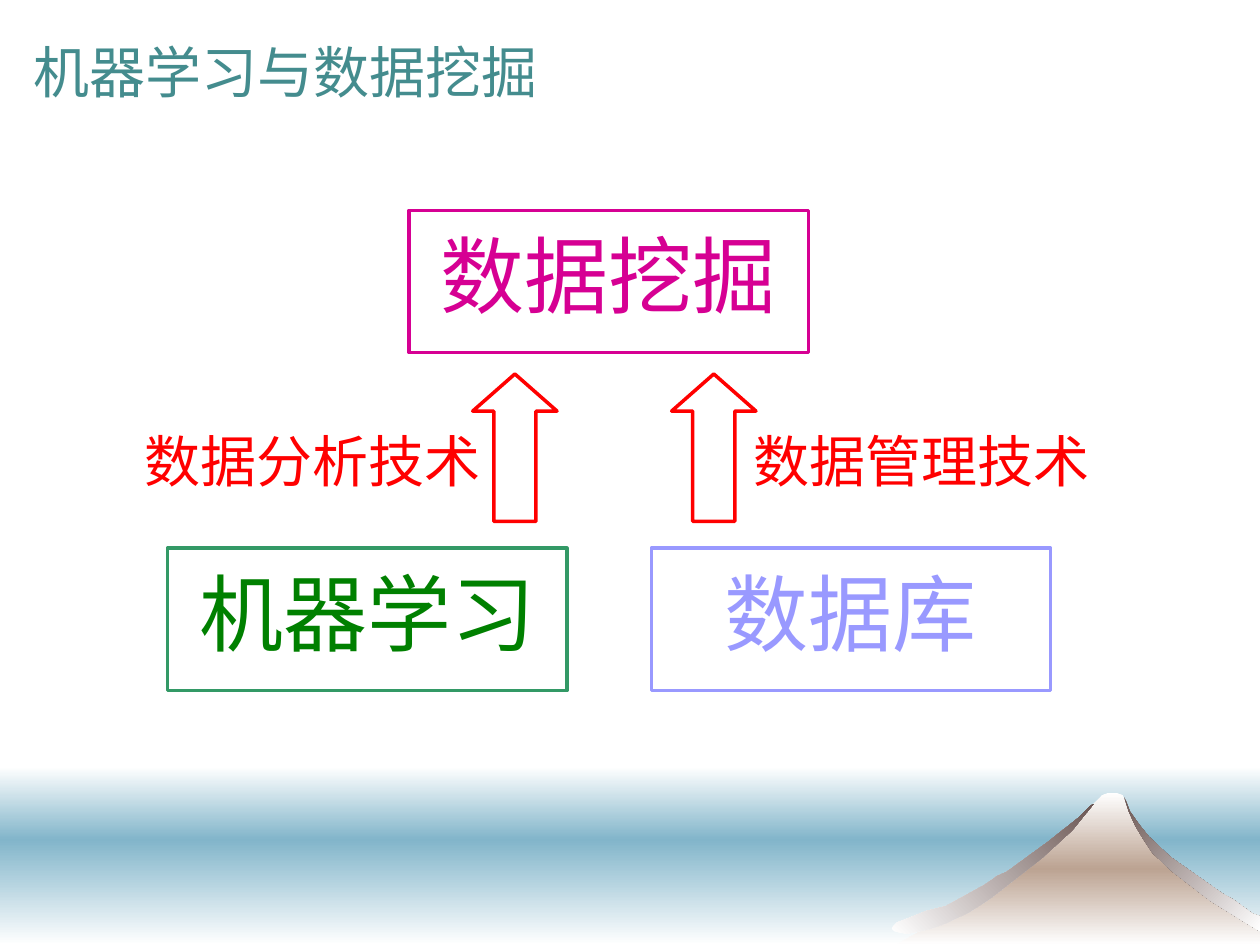
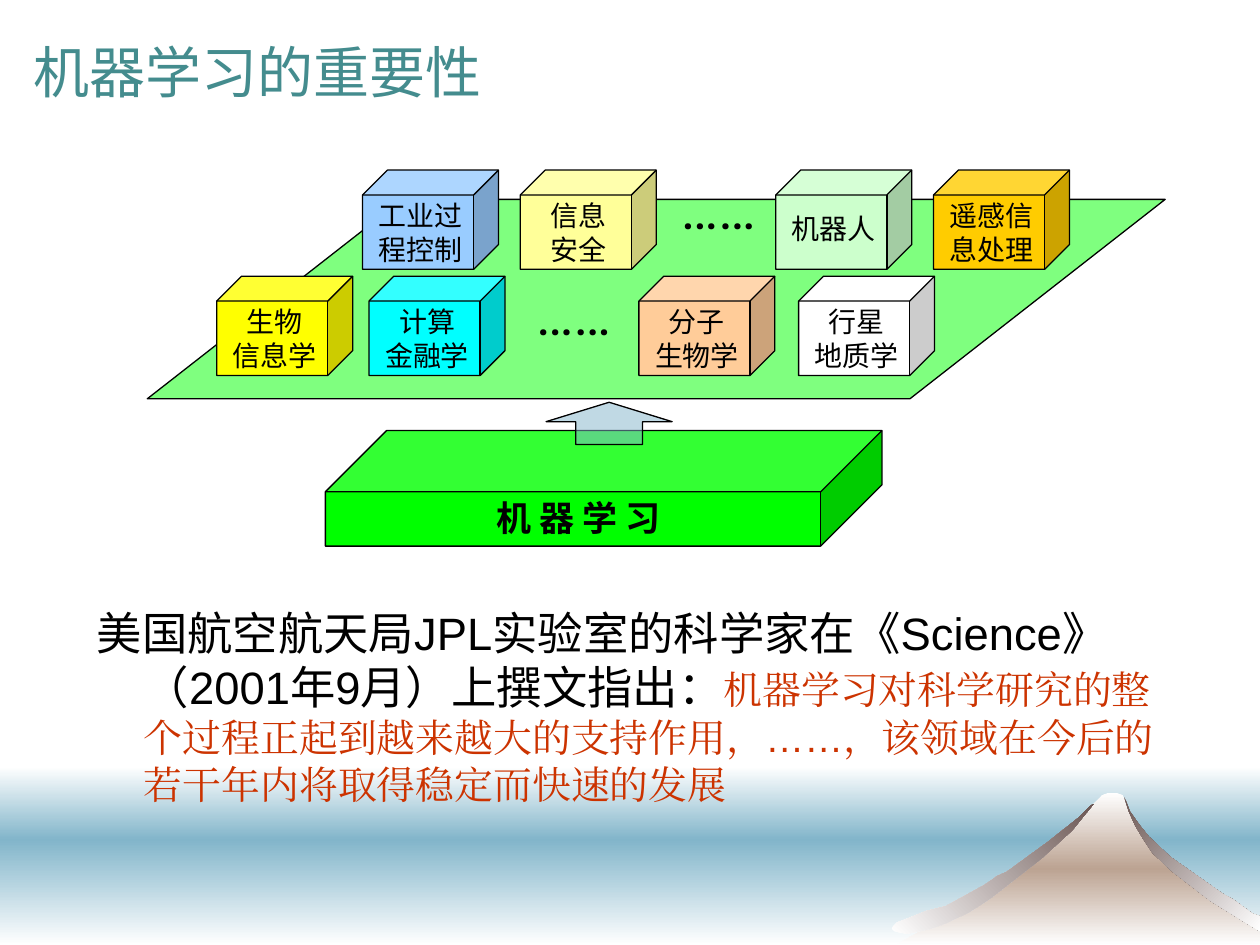
import copy

from pptx import Presentation
from pptx import util as u
from pptx.dml.color import RGBColor
from pptx.enum import shapes, text
from pptx.oxml.ns import qn
from lxml import etree

Cm, Pt = u.Cm, u.Pt
SHAPE = shapes.MSO_SHAPE
CENTER = text.PP_ALIGN.CENTER

WHITE = RGBColor(0xFF, 0xFF, 0xFF)
BLACK = RGBColor(0, 0, 0)
TEAL = RGBColor(0x44, 0x8C, 0x8E)
SEA = RGBColor(0x82, 0xB5, 0xCA)
SAND = RGBColor(0xBC, 0xA3, 0x92)
ROCK = RGBColor(0x6B, 0x56, 0x53)
MAGENTA = RGBColor(0xD6, 0x00, 0x93)
LILAC = RGBColor(0x99, 0x99, 0xFF)
GREEN = RGBColor(0x00, 0x80, 0x00)
SEA_GREEN = RGBColor(0x33, 0x99, 0x66)
LIME = RGBColor(0x00, 0xFF, 0x00)
RED = RGBColor(0xFF, 0x00, 0x00)
RUST = RGBColor(0xCC, 0x33, 0x00)
YELLOW = RGBColor(0xFF, 0xFF, 0x00)
CYAN = RGBColor(0x00, 0xFF, 0xFF)
PEACH = RGBColor(0xFF, 0xCC, 0x99)
SKY = RGBColor(0x99, 0xCC, 0xFF)
CREAM = RGBColor(0xFF, 0xFF, 0x99)
MINT = RGBColor(0xCC, 0xFF, 0xCC)
GOLD = RGBColor(0xFF, 0xCC, 0x00)

SLIDE_W, SLIDE_H = 25.4, 19.05
INSET = 0.25

# Mountain outlines, in hundredths of an inch from the mountain's corner
POINT = 0.0254
MOUNTAIN = [(3, 121), (82, 76), (132, 37), (161, 8), (167, 2), (172, 0),
            (178, 0), (183, 2), (195, 28), (214, 51), (260, 83), (292, 104),
            (292, 121)]
RIGHT_RIDGE = [(207, 48), (223, 63), (240, 76), (245, 80), (253, 86),
               (282, 104), (292, 110), (292, 98), (286, 96), (271, 85),
               (262, 80), (221, 51), (204, 35), (196, 25), (189, 15),
               (186, 7), (184, 3), (188, 15), (193, 26), (199, 36), (203, 42)]
LEFT_RIDGE = [(124, 39), (91, 63), (84, 66), (74, 73), (43, 90), (27, 94),
              (12, 100), (4, 103), (1, 106), (0, 108), (2, 110), (6, 111),
              (12, 112), (22, 110), (31, 108), (42, 104), (61, 95), (72, 88),
              (78, 84), (119, 52), (143, 30), (156, 14), (160, 9), (157, 11),
              (148, 20)]


def add_run(p, words, size=16, font="Roboto", color=BLACK, bold=False):
    r = p.add_run()
    r.text = words
    r.font.size, r.font.name, r.font.bold = Pt(size), font, bold
    r.font.color.rgb = color
    east_asian = etree.SubElement(r.font._element, qn("a:ea"))
    east_asian.set("typeface", font)


def add_text(s, box, words, align=None, wrap=True, **fmt):
    """Place a text box; each line of words is a paragraph."""
    tf = s.shapes.add_textbox(*map(Cm, box)).text_frame
    tf.word_wrap = wrap
    for i, line in enumerate(words.split("\n")):
        p = tf.add_paragraph() if i else tf.paragraphs[0]
        p.alignment = align
        if line:
            add_run(p, line, **fmt)
    return tf


def add_shape(s, kind, box, fill=None, line=None, width=0.75, adj=(), alpha=None):
    sp = s.shapes.add_shape(kind, *map(Cm, box))
    sp.shadow.inherit = False
    for i, value in enumerate(adj):
        sp.adjustments[i] = value
    if fill is None:
        sp.fill.background()
    else:
        sp.fill.solid()
        sp.fill.fore_color.rgb = fill
    if alpha:
        clr = sp._element.spPr.find(qn("a:solidFill"))[0]
        etree.SubElement(clr, qn("a:alpha")).set("val", str(alpha * 1000))
    if line is None:
        sp.line.fill.background()
    else:
        sp.line.color.rgb = line
        sp.line.width = Pt(width)
    return sp


def shade(sp, colors, clockwise):
    """Fill with evenly spaced gradient stops."""
    sp.fill.gradient()
    stops = sp._element.spPr.find(".//" + qn("a:gsLst"))
    for _ in colors[2:]:
        stops.append(copy.deepcopy(stops[0]))
    for i, (stop, color) in enumerate(zip(sp.fill.gradient_stops, colors)):
        stop.color.rgb = color
        stop.position = i / (len(colors) - 1)
    sp.fill.gradient_angle = 360 - clockwise


def add_outline(s, left, top, points, colors, clockwise):
    fb = s.shapes.build_freeform(*points[0], scale=Cm(POINT))
    fb.add_line_segments(points[1:], close=True)
    sp = fb.convert_to_shape(Cm(left), Cm(top))
    sp.shadow.inherit = False
    sp.line.fill.background()
    shade(sp, colors, clockwise)


def add_scenery(s, top):
    """Sea band and mountain along the foot of the slide."""
    horizon = top + 1.48
    for y, bottom, colors in [(top, horizon, (WHITE, SEA)),
                              (horizon, SLIDE_H, (SEA, WHITE))]:
        sp = add_shape(s, SHAPE.RECTANGLE, (0, y, SLIDE_W, bottom - y))
        shade(sp, colors, 90)
    left, peak = 17.98, top + 0.53
    add_outline(s, left, peak, MOUNTAIN, (WHITE, SAND, WHITE), 90)
    add_outline(s, left, peak, RIGHT_RIDGE, (ROCK, WHITE), 45)
    add_outline(s, left, peak, LEFT_RIDGE, (WHITE, ROCK), 315)


def new_slide(prs, title):
    s = prs.slides.add_slide(prs.slide_layouts[6])
    add_scenery(s, 15.45)
    add_text(s, (0.42, 0.64, 11.24, 1.63), title, size=32, font="Vollkorn", color=TEAL)
    return s


def add_field_box(s, left, top, words, color, border):
    """Framed field name, 48 pt, centred in its frame."""
    w, h = 8.05, 2.87
    text_w = len(words) * Pt(48).cm + 2 * INSET
    add_text(s, (left + (w - text_w) / 2, top + 0.14, text_w, 2.29), words,
             wrap=False, size=48, color=color)
    add_shape(s, SHAPE.RECTANGLE, (left, top, w, h), line=border, width=2)


def add_mining_diagram(s, left, top):
    add_field_box(s, left + 4.87, top, "数据挖掘", MAGENTA, MAGENTA)
    add_field_box(s, left + 9.75, top + 6.81, "数据库", LILAC, LILAC)
    add_field_box(s, left, top + 6.81, "机器学习", GREEN, SEA_GREEN)
    # Techniques feeding data mining
    for words, text_x, arrow_x in [("数据分析技术", -0.71, 6.15),
                                   ("数据管理技术", 11.56, 10.16)]:
        add_text(s, (left + text_x, top + 4.24, 7.29, 1.63), words,
                 wrap=False, size=32, color=RED)
        add_shape(s, SHAPE.UP_ARROW, (left + arrow_x, top + 3.3, 1.7, 2.97),
                  WHITE, RED, 2, adj=(0.5, 0.44))


def add_cube_row(s, left, top, cubes, dots_x):
    """Cubes as (x, fill, label, label width), then the dots between them."""
    for x, fill, label, label_w in cubes:
        add_shape(s, SHAPE.CUBE, (left + x, top, 2.74, 2), fill, BLACK, adj=(0.25,))
        single_line = len(label) == 3
        y, h = (0.71, 0.94) if single_line else (0.45, 1.63)
        add_text(s, (left + x + 1.17 - label_w / 2, top + y, label_w, h),
                 label, align=CENTER)
    add_text(s, (left + dots_x, top - 0.05, 2.97, 1.63), "……", align=CENTER, size=32)


def add_foundation_diagram(s, left, top):
    # Application plane
    add_shape(s, SHAPE.PARALLELOGRAM, (left, top, 20.52, 4.02), LIME, BLACK,
              adj=(1.28,), alpha=50)
    add_cube_row(s, left, top - 0.59, [
        (4.34, SKY, "工业过程控制", 2.54), (7.52, CREAM, "信息安全", 2.06),
        (12.67, MINT, "机器人", 2.97), (15.85, GOLD, "遥感信\n息处理", 2.97)], 10.03)
    add_cube_row(s, left, top + 1.55, [
        (1.4, YELLOW, "生物\n信息学", 2.97), (4.47, CYAN, "计算\n金融学", 2.97),
        (9.91, PEACH, "分子\n生物学", 2.97), (13.13, WHITE, "行星\n地质学", 2.97)], 7.11)
    # Machine learning slab and arrow
    add_shape(s, SHAPE.CUBE, (left + 3.59, top + 4.66, 11.22, 2.33), LIME, BLACK,
              adj=(0.53,))
    add_shape(s, SHAPE.UP_ARROW, (left + 8.04, top + 4.09, 2.54, 0.85), SEA, BLACK,
              adj=(0.53, 0.46), alpha=50)
    add_text(s, (left + 5.74, top + 5.86, 5.92, 1.12), "机 器 学 习", align=CENTER,
             size=20, font="Noto Sans CJK SC", bold=True)


def add_quotation(s, box):
    p = add_text(s, box, "").paragraphs[0]
    pPr = p._p.get_or_add_pPr()
    pPr.set("marL", str(Cm(0.95)))
    pPr.set("indent", str(-Cm(0.95)))
    add_run(p, "美国航空航天局JPL实验室的科学家在《Science》（2001年9月）上撰文指出：",
            size=25.9, font="Arial")
    for words, font in [
            ("机器学习对科学研究的整个过程正起到越来越大的支持作用，", "Times New Roman"),
            ("……", "Arial"),
            ("，该领域在今后的若干年内将取得稳定而快速的发展", "Times New Roman")]:
        add_run(p, words, size=22.2, font=font, color=RUST)


def main():
    prs = Presentation()
    prs.slide_width, prs.slide_height = Cm(SLIDE_W), Cm(SLIDE_H)

    s = new_slide(prs, "机器学习与数据挖掘")
    add_mining_diagram(s, 3.38, 4.24)

    s = new_slide(prs, "机器学习的重要性")
    add_foundation_diagram(s, 2.97, 4.02)
    add_quotation(s, (1.7, 12.07, 22.23, 5.08))

    prs.save("out.pptx")


if __name__ == "__main__":
    main()
